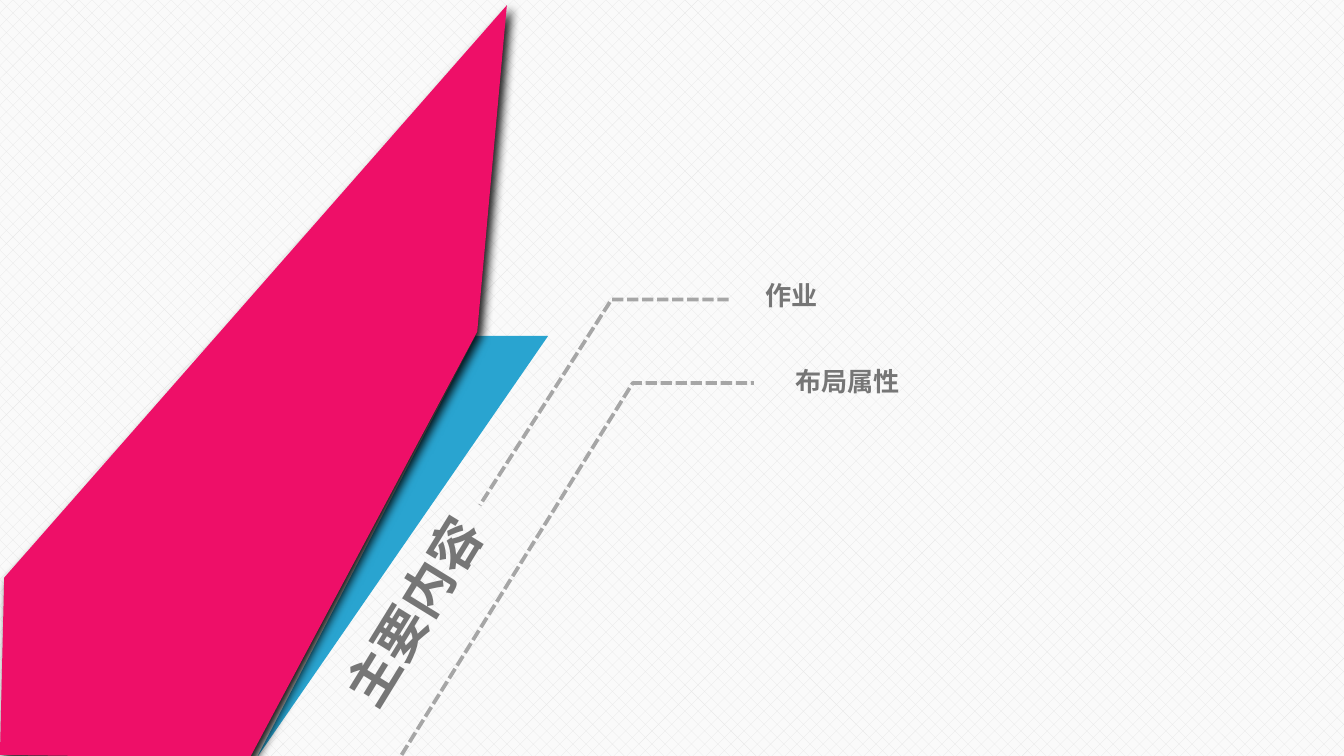
from lxml.etree import SubElement
from pptx import Presentation
from pptx.dml.color import RGBColor
from pptx.enum.dml import MSO_LINE_DASH_STYLE as Dash, MSO_PATTERN_TYPE as Pattern
from pptx.enum.text import MSO_ANCHOR as Anchor, MSO_AUTO_SIZE as AutoSize, PP_ALIGN as Align
from pptx.oxml.ns import qn
from pptx.util import Cm, Pt

COLORS = {"paper": "FAFAFA", "hatch": "E6E6E6", "blue": "29A4D0", "pink": "EE0F68",
          "text": "767676", "line": "A6A6A6", "shadow": "000000"}
RGB = {name: RGBColor.from_string(value) for name, value in COLORS.items()}
FONT = "Noto Sans CJK SC"


def add_outline(points, close):
    """Add a freeform through points given in centimetres."""
    corners = [(Cm(x), Cm(y)) for x, y in points]
    builder = page.shapes.build_freeform(*corners[0])
    builder.add_line_segments(corners[1:], close=close)
    shape = builder.convert_to_shape()
    shape.shadow.inherit = False
    return shape


def write_label(box, text, size, align):
    frame = box.text_frame
    settings = {"word_wrap": True, "auto_size": AutoSize.SHAPE_TO_FIT_TEXT,
                "vertical_anchor": Anchor.TOP}
    for name, value in settings.items():
        setattr(frame, name, value)
    para = frame.paragraphs[0]
    para.alignment = align
    span = para.add_run()
    span.text = text
    for name, value in {"size": Pt(size), "bold": True, "name": FONT}.items():
        setattr(span.font, name, value)
    span.font.color.rgb = RGB["text"]
    SubElement(span.font._element, qn("a:ea"), typeface=FONT)


deck = Presentation()
deck.slide_width, deck.slide_height = Cm(25.4), Cm(14.29)
page = deck.slides.add_slide(deck.slide_layouts[5])

backdrop = page.background.fill
backdrop.patterned()
backdrop.pattern = Pattern.PERCENT_30
backdrop.fore_color.rgb = RGB["hatch"]
backdrop.back_color.rgb = RGB["paper"]

# Folded ribbon: blue underside first, pink front on top
ribbon = {
    "blue": [(10.36, 6.35), (4.85, 14.33), (8.99, 6.35)],
    "pink": [(0, 14.27), (4.72, 14.33), (9.02, 6.27), (9.58, 0.1), (0.08, 10.92)],
}
for color, points in ribbon.items():
    fold = add_outline(points, close=True)
    fold.fill.solid()
    fold.fill.fore_color.rgb = RGB[color]
    fold.line.fill.background()

# The pink front casts the shadow
effects = fold._element.spPr.find(qn("a:effectLst"))
shadow = SubElement(effects, qn("a:outerShdw"), blurRad=str(Pt(5)), dist=str(Pt(3)),
                    dir=str(45 * 60000), algn="tl", rotWithShape="0")
tint = SubElement(shadow, qn("a:srgbClr"), val=COLORS["shadow"])
SubElement(tint, qn("a:alpha"), val="90000")

# Dashed leader lines
leaders = [
    [(13.77, 5.66), (11.56, 5.66), (9.07, 9.55)],
    [(7.59, 14.27), (11.96, 7.24), (14.25, 7.24)],
]
for points in leaders:
    leader = add_outline(points, close=False)
    leader.fill.background()
    leader.line.color.rgb = RGB["line"]
    leader.line.width = Pt(2)
    leader.line.dash_style = Dash.SQUARE_DOT

title = page.shapes.title
place = {"left": Cm(5.23), "top": Cm(10.82), "width": Cm(5.16), "height": Cm(1.45),
         "rotation": 301.6}
for name, value in place.items():
    setattr(title, name, value)
write_label(title, "主要内容", 28, Align.CENTER)

for text, left, top, width in [("作业", 14.22, 5.16, 5.66), ("布局属性", 14.78, 6.78, 4.32)]:
    box = page.shapes.add_textbox(Cm(left), Cm(top), Cm(width), Cm(0.86))
    write_label(box, text, 14, Align.LEFT)

deck.save("out.pptx")
